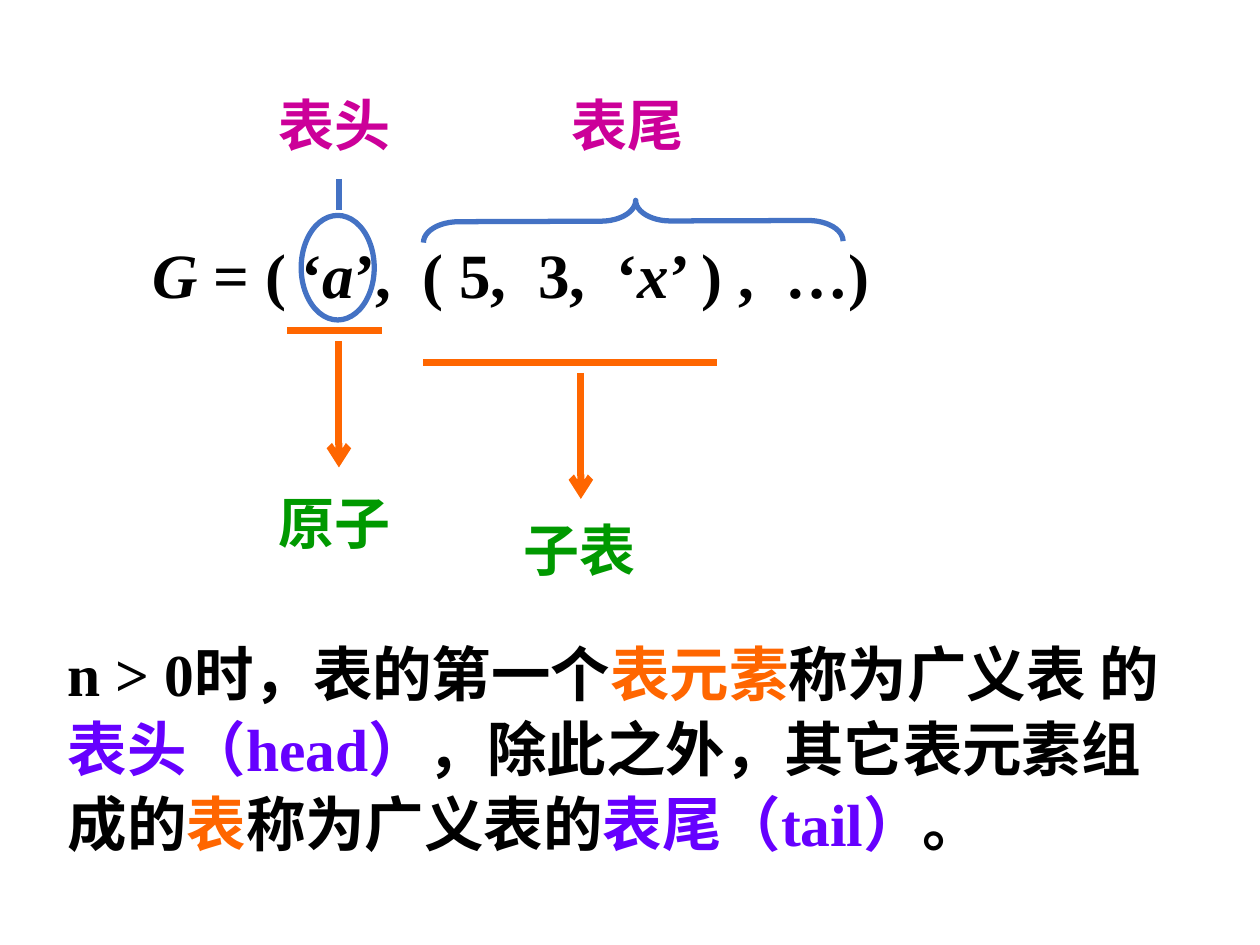
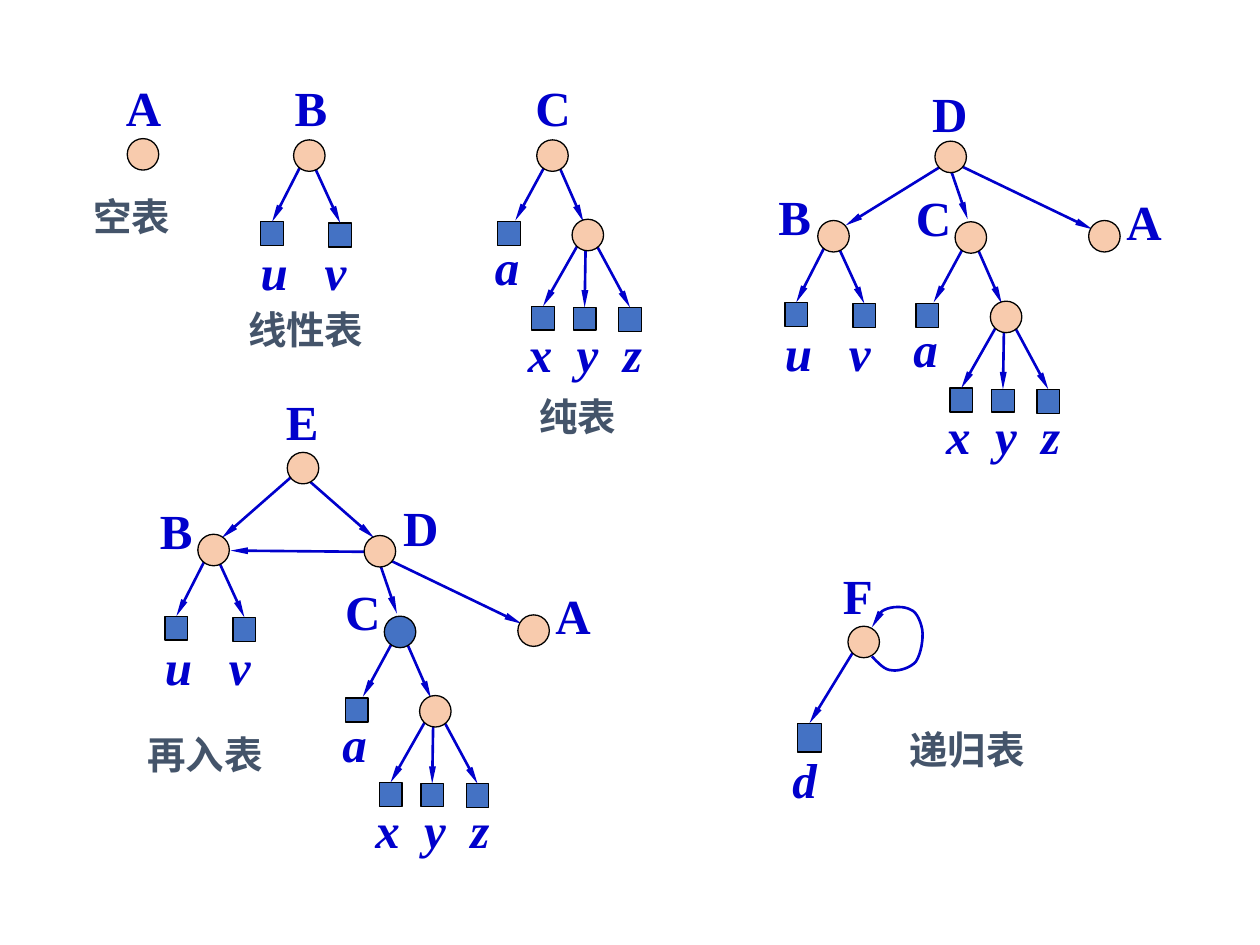
import pptx
import pptx.dml.color
import pptx.enum.shapes
import pptx.enum.text
import pptx.oxml
import pptx.oxml.ns
import pptx.util

Inches, Pt = pptx.util.Inches, pptx.util.Pt
SHAPES = pptx.enum.shapes.MSO_SHAPE
BLACK, BLUE, INK, ORANGE = "000000", "4472C4", "0000CC", "FF6600"
PEACH, GREEN, MAGENTA, VIOLET, SLATE = "F8CBAD", "009900", "CC0099", "6600FF", "44546A"


def rgb(value):
    return pptx.dml.color.RGBColor.from_string(value)


def apply(target, values):
    for name, value in values.items():
        setattr(target, name, value)


class Board:
    """Draws styled elements on the current slide of a deck."""

    font = {"name": "Times New Roman", "bold": True}
    frame = {
        "auto_size": pptx.enum.text.MSO_AUTO_SIZE.SHAPE_TO_FIT_TEXT,
        "vertical_anchor": pptx.enum.text.MSO_ANCHOR.TOP,
    }

    def __init__(self):
        self.deck = pptx.Presentation()
        apply(self.deck, {"slide_width": Inches(10), "slide_height": Inches(7.5)})
        self.slide = None

    def new_slide(self):
        self.slide = self.deck.slides.add_slide(self.deck.slide_layouts[6])

    def text(self, place, runs, size, color=INK, wrap=False, leading=None):
        box = self.slide.shapes.add_textbox(*map(Inches, place))
        apply(box.text_frame, {**self.frame, "word_wrap": wrap})
        paragraph = box.text_frame.paragraphs[0]
        if leading:
            paragraph.line_spacing = leading
        for words, style in runs:
            run = paragraph.add_run()
            run.text = words
            apply(run.font, {**self.font, "size": Pt(size), "italic": style.get("italic", False)})
            run.font.color.rgb = rgb(style.get("color", color))
            if "spacing" in style:
                run._r.get_or_add_rPr().set("spc", str(style["spacing"] * 100))

    def outline(self, line, color, width, head=None):
        line.color.rgb = rgb(color)
        line.width = Pt(width)
        if head:
            end = pptx.oxml.parse_xml(f'<a:tailEnd {pptx.oxml.ns.nsdecls("a")} {head}/>')
            line._get_or_add_ln().append(end)

    def shape(self, kind, place, line, width, fill=None):
        shape = self.slide.shapes.add_shape(kind, *map(Inches, place))
        shape.shadow.inherit = False
        if fill:
            shape.fill.solid()
            shape.fill.fore_color.rgb = rgb(fill)
        else:
            shape.fill.background()
        self.outline(shape.line, line, width)
        return shape

    def line(self, start, end, color, width, head=None):
        straight = pptx.enum.shapes.MSO_CONNECTOR.STRAIGHT
        connector = self.slide.shapes.add_connector(straight, *map(Inches, (*start, *end)))
        effects = pptx.oxml.parse_xml(f'<a:effectLst {pptx.oxml.ns.nsdecls("a")}/>')
        self.outline(connector.line, color, width, head)
        connector._element.spPr.append(effects)
        return connector

    def curve(self, start, beziers, color, width, head, steps=8):
        points, origin = [], start
        for first, second, end in beziers:
            for step in range(1, steps + 1):
                t = step / steps
                u = 1 - t
                points.append(tuple(
                    Inches(u**3 * a + 3 * u * u * t * b + 3 * u * t * t * c + t**3 * d)
                    for a, b, c, d in zip(origin, first, second, end)
                ))
            origin = end
        builder = self.slide.shapes.build_freeform(*map(Inches, start), scale=1.0)
        builder.add_line_segments(points, close=False)
        loop = builder.convert_to_shape()
        loop.shadow.inherit = False
        loop.fill.background()
        self.outline(loop.line, color, width, head)

    def edge(self, start, end):
        return self.line(start, end, INK, 1.5, SLIM_HEAD)

    def node(self, x, y, fill=PEACH):
        self.shape(SHAPES.OVAL, (x, y, 0.25, 0.25), BLACK, 0.75, fill)

    def leaf(self, x, y, start=None, width=0.18, height=0.19):
        square = self.shape(SHAPES.RECTANGLE, (x, y, width, height), BLACK, 0.75, BLUE)
        if start:
            self.edge(start, (x + width / 2, y)).end_connect(square, 0)

    def name(self, x, y, letter):
        self.text((x, y, 0.48, 0.57), [(letter, {})], 28)

    def atoms(self, x, y, letters, width=0.4, spacing=0):
        runs = [(letters[0], {"italic": True})]
        for letter in letters[1:]:
            runs += [(" ", {"italic": True, "spacing": spacing}), (letter, {"italic": True})]
        self.text((x, y, width, 0.57), runs, 28)

    def list_b(self, x, y):
        self.leaf(x - 0.26, y + 0.65, (x + 0.07, y + 0.18))
        self.leaf(x + 0.28, y + 0.66, (x + 0.15, y + 0.18))
        self.node(x, y)
        self.atoms(x - 0.36, y + 0.76, "uv", 0.88, 14)

    def list_c(self, x, y, fill=PEACH):
        self.edge((x + 0.08, y + 0.18), (x - 0.17, y + 0.64))
        self.edge((x + 0.16, y + 0.17), (x + 0.37, y + 0.65))
        self.node(x, y, fill)
        self.leaf(x - 0.31, y + 0.65)
        self.leaf(x - 0.04, y + 1.32, (x + 0.34, y + 0.81))
        self.leaf(x + 0.29, y + 1.33, (x + 0.39, y + 0.73), height=0.18)
        self.leaf(x + 0.65, y + 1.33, (x + 0.46, y + 0.81))
        self.node(x + 0.28, y + 0.63)
        self.atoms(x - 0.43, y + 0.72, "a")
        self.atoms(x - 0.17, y + 1.41, "xyz", 1.11, 7)

    def list_d(self, x, y, c_fill=PEACH):
        self.edge((x + 0.19, y + 0.19), (x + 1.25, y + 0.7))
        self.edge((x + 0.12, y + 0.21), (x + 0.26, y + 0.62))
        self.node(x, y)
        self.list_c(x + 0.16, y + 0.64, c_fill)
        self.node(x + 1.22, y + 0.63)
        self.name(x - 0.25, y + 0.32, "C")
        self.name(x + 1.42, y + 0.35, "A")


SLIM_HEAD = 'type="triangle" w="sm" len="lg"'
OPEN_HEAD = 'type="arrow"'


def head_and_tail(board):
    board.new_slide()
    italic, wide = {"italic": True}, (" ", {"spacing": 9})
    formula = [
        ("G", italic), (" = ( ‘", {}), ("a", italic), ("’,", {}), wide, ("( 5,", {}), wide,
        ("3,", {}), wide, ("‘", {}), ("x", italic), ("’ ) ,", {}), wide, ("…)", {}),
    ]
    board.text((1.11, 1.79, 5.95, 0.69), formula, 36, BLACK, leading=1.05)
    for x, y, term, color in (
        (2.11, 3.83, "原子", GREEN), (4.06, 4.04, "子表", GREEN),
        (2.11, 0.67, "表头", MAGENTA), (4.44, 0.67, "表尾", MAGENTA),
    ):
        board.text((x, y, 1.1, 0.64), [(term, {})], 32, color)
    for left, right, underline, x, top in (
        (2.28, 3.03, 2.62, 2.69, 2.71), (3.36, 5.69, 2.88, 4.61, 2.96),
    ):
        board.line((left, underline), (right, underline), ORANGE, 4)
        board.line((x, top), (x, top + 1), ORANGE, 4, OPEN_HEAD)
    board.shape(SHAPES.OVAL, (2.39, 1.71, 0.58, 0.83), BLUE, 3)
    tail_brace = board.shape(SHAPES.LEFT_BRACE, (4.86, 0.09, 0.33, 3.33), BLUE, 3)
    tail_brace.rotation = 89.8
    tail_brace.adjustments[0], tail_brace.adjustments[1] = 0.842, 0.494
    board.line((2.69, 1.42), (2.69, 1.67), BLUE, 3)
    element, key = {"color": ORANGE}, {"color": VIOLET}
    definition = [
        ("n > 0时，表的第一个", {}), ("表元素", element), ("称为广义表 的", {}),
        ("表头（head）", key), ("，除此之外，其它表元素组成的", {}), ("表", element),
        ("称为广义表的", {}), ("表尾（tail）", key), ("。", {}),
    ]
    board.text((0.44, 4.98, 9.18, 1.9), definition, 34, BLACK, wrap=True, leading=1.05)


def list_kinds(board):
    board.new_slide()
    board.node(1.01, 1.1)
    board.list_b(2.33, 1.11)
    board.list_c(4.26, 1.11)

    board.edge((7.47, 1.32), (6.71, 1.79))
    board.list_d(7.42, 1.12)
    board.list_b(6.49, 1.75)

    for start, end in (
        ((2.4, 3.77), (2.97, 4.27)), ((2.33, 3.77), (1.76, 4.27)), ((2.95, 4.38), (1.83, 4.37)),
    ):
        board.edge(start, end)
    board.node(2.28, 3.59)
    board.list_b(1.57, 4.24)
    board.list_d(2.89, 4.25, BLUE)

    board.leaf(6.33, 5.74, (6.78, 5.16), 0.19, 0.23)
    board.node(6.73, 4.97)
    board.atoms(6.19, 5.9, "d")
    self_reference = [
        ((6.97, 5.26), (7.02, 5.32), (7.08, 5.32)),
        ((7.13, 5.33), (7.23, 5.3), (7.27, 5.25)),
        ((7.31, 5.19), (7.33, 5.07), (7.32, 5)),
        ((7.31, 4.94), (7.28, 4.86), (7.23, 4.84)),
        ((7.18, 4.81), (7.08, 4.81), (7.02, 4.84)),
        ((6.97, 4.86), (6.94, 4.95), (6.92, 4.98)),
    ]
    board.curve((6.92, 5.21), self_reference, INK, 1.5, SLIM_HEAD)

    for x, y, letter in (
        (0.9, 0.57, "A"), (2.24, 0.57, "B"), (4.15, 0.57, "C"), (7.3, 0.61, "D"),
        (6.08, 1.43, "B"), (1.17, 3.92, "B"), (2.17, 3.06, "E"), (3.1, 3.9, "D"),
        (6.59, 4.44, "F"),
    ):
        board.name(x, y, letter)
    for x, y, width, kind in (
        (0.64, 1.48, 0.82, "空表"), (1.87, 2.38, 1.12, "线性表"), (1.07, 5.75, 1.12, "再入表"),
        (4.18, 3.07, 0.82, "纯表"), (7.12, 5.71, 1.12, "递归表"),
    ):
        board.text((x, y, width, 0.47), [(kind, {})], 22, SLATE)


def main():
    board = Board()
    head_and_tail(board)
    list_kinds(board)
    board.deck.save("out.pptx")


if __name__ == "__main__":
    main()
